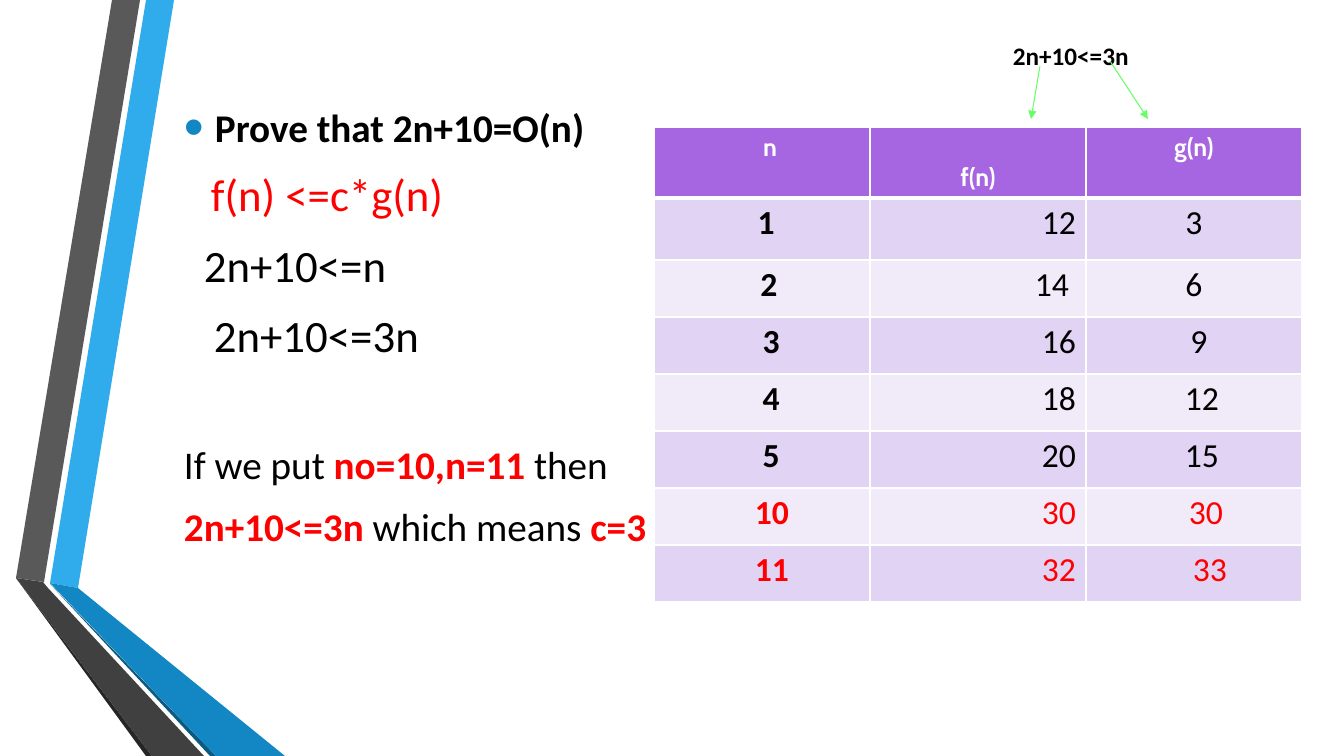
import pptx
import pptx.util
import pptx.dml.color
import pptx.enum.shapes
import pptx.enum.text
import pptx.oxml.ns
from lxml import etree

RGBColor = pptx.dml.color.RGBColor
ALIGN = pptx.enum.text.PP_ALIGN
ANCHOR = pptx.enum.text.MSO_ANCHOR
PX = 914400 / 100.8

BLACK = RGBColor(0x00, 0x00, 0x00)
WHITE = RGBColor(0xFF, 0xFF, 0xFF)
RED = RGBColor(0xFF, 0x00, 0x00)
GREEN = RGBColor(0x66, 0xFF, 0x66)
SKY = RGBColor(0x30, 0xAC, 0xEC)
BLUE = RGBColor(0x12, 0x87, 0xC3)
NAVY = RGBColor(0x0C, 0x5A, 0x82)
GREY = RGBColor(0x59, 0x59, 0x59)
CHARCOAL = RGBColor(0x40, 0x40, 0x40)
SOOT = RGBColor(0x26, 0x26, 0x26)
PURPLE = RGBColor(0xA6, 0x66, 0xE1)
LILAC = RGBColor(0xE1, 0xD3, 0xF4)
PALE = RGBColor(0xF1, 0xEA, 0xF9)

RIBBONS = [
    (SKY, [(34, 583), (62, 588), (158, 0), (130, 0)]),
    (GREY, [(124, 0), (96, 0), (0, 578), (28, 582)]),
    (SOOT, [(0, 578), (130, 756), (136, 756)]),
    (NAVY, [(34, 584), (194, 756), (200, 756)]),
    (BLUE, [(34, 583), (200, 756), (269, 756), (62, 588)]),
    (CHARCOAL, [(188, 756), (32, 588), (27, 582), (0, 578), (136, 756)]),
]

PROOF = [
    (28, 31, 0, [("Prove that 2n+10=O(n)", BLACK, True)]),
    (32, 27, 6, [("f(n) <=c*g(n)", RED, False)]),
    (32, 20, 6, [("2n+10<=n", BLACK, False)]),
    (32, 30, 6, [("2n+10<=3n", BLACK, False)]),
    (28, 0, 50, [("If we put ", BLACK, False), ("no=10,n=11 ", RED, True),
                 ("then", BLACK, False)]),
    (28, 0, 5, [("2n+10<=3n ", RED, True), ("which means ", BLACK, False),
                ("c=3", RED, True)]),
]

HEADER = ["n", "f(n)", "g(n)"]
N_VALUES = [1, 2, 3, 4, 5, 10, 11]
N_SHIFTS = [8, 4, 7, 9, 9, 9, 10, 10]
G_SHIFTS = [0, 0, 0, 5, 8, 8, 12, 16]
ROW_HEIGHTS = [71, 62] + [57] * 6


def px(n):
    """Turn pixels into EMU."""
    return pptx.util.Emu(round(n * PX))


def set_font(font, size, color, bold, name="Calibri"):
    """Set size, colour, weight and typeface."""
    font.size = pptx.util.Pt(size)
    font.color.rgb = color
    font.bold = bold
    font.name = name


def add_sub(parent, tag, **attrs):
    """Append a DrawingML element."""
    return etree.SubElement(parent, pptx.oxml.ns.qn("a:" + tag), attrs)


def add_ribbons(s, x, y):
    """Draw the folded bands on the left edge."""
    for color, points in RIBBONS:
        points = [(x + dx, y + dy) for dx, dy in points]
        builder = s.shapes.build_freeform(*points[0], scale=PX)
        builder.add_line_segments(points[1:], close=True)
        sp = builder.convert_to_shape()
        sp.fill.solid()
        sp.fill.fore_color.rgb = color
        sp.line.fill.background()
        sp.shadow.inherit = False


def add_bullet(p, hang):
    """Give a paragraph a blue dot with a hanging indent."""
    pPr = p._p.get_or_add_pPr()
    pPr.set("indent", str(-px(hang)))
    add_sub(add_sub(pPr, "buClr"), "srgbClr", val=str(BLUE))
    add_sub(pPr, "buSzPct", val="145000")
    add_sub(pPr, "buFont", typeface="Arial")
    add_sub(pPr, "buChar", char="•")


def add_proof(s, x, y, w, h):
    """Write the steps of the proof."""
    tf = s.shapes.add_textbox(px(x), px(y), px(w), px(h)).text_frame
    tf.word_wrap = True
    tf.margin_left = tf.margin_right = tf.margin_top = tf.margin_bottom = 0
    for i, (size, indent, before, runs) in enumerate(PROOF):
        p = tf.add_paragraph() if i else tf.paragraphs[0]
        p._p.get_or_add_pPr().set("marL", str(px(indent)))
        if i == 0:
            add_bullet(p, indent)
        p.space_before = pptx.util.Pt(before)
        p.space_after = pptx.util.Pt(6)
        if len(runs) == 1:
            set_font(p.font, size, *runs[0][1:])
        for text, color, bold in runs:
            r = p.add_run()
            r.text = text
            if len(runs) > 1:
                set_font(r.font, size, color, bold)


def set_borders(cell, row):
    """Draw white cell borders, thick under the header."""
    tcPr = cell._tc.get_or_add_tcPr()
    thick = {"lnB": 0, "lnT": 1}
    for side in ("lnL", "lnR", "lnT", "lnB"):
        width = 3 if thick.get(side) == row else 1
        ln = add_sub(tcPr, side, w=str(pptx.util.Pt(width)))
        add_sub(add_sub(ln, "solidFill"), "srgbClr", val=str(WHITE))


def add_values(s, x, y, w):
    """Build the table of n, f(n) and g(n)."""
    rows = [HEADER] + [[n, 2 * n + 10, 3 * n] for n in N_VALUES]
    table = s.shapes.add_table(len(rows), len(HEADER), px(x), px(y), px(w),
                               px(sum(ROW_HEIGHTS))).table
    for column in table.columns:
        column.width = px(w / len(HEADER))
    for i, values in enumerate(rows):
        table.rows[i].height = px(ROW_HEIGHTS[i])
        for j, value in enumerate(values):
            cell = table.cell(i, j)
            set_borders(cell, i)
            cell.fill.solid()
            cell.fill.fore_color.rgb = (LILAC if i % 2 else PALE) if i else PURPLE
            shift = (N_SHIFTS[i], 0, G_SHIFTS[i])[j]
            cell.margin_left = px(10 + 2 * shift)
            cell.margin_right = px(17 if value == 14 else 10)
            cell.margin_top = cell.margin_bottom = px(5)
            p = cell.text_frame.paragraphs[0]
            p.text = str(value)
            p.alignment = ALIGN.RIGHT if i and j == 1 else ALIGN.CENTER
            if i == 0:
                cell.vertical_anchor = ANCHOR.BOTTOM if j == 1 else ANCHOR.TOP
                set_font(p.font, 18, WHITE, True, "Cabin")
            else:
                set_font(p.font, 24, RED if values[0] >= 10 else BLACK, j == 0)


def add_inequality(s, x, y, w, h):
    """Label the two sides of the inequality with arrows to their columns."""
    tf = s.shapes.add_textbox(px(x), px(y), px(w), px(h)).text_frame
    tf.word_wrap = False
    p = tf.paragraphs[0]
    p.text = "2n+10<=3n"
    set_font(p.font, 18, BLACK, True)
    for x1, y1, x2, y2 in [(37, 31, 28, 84), (107, 26, 145, 84)]:
        arrow = s.shapes.add_connector(
            pptx.enum.shapes.MSO_CONNECTOR.STRAIGHT,
            px(x + x1), px(y + y1), px(x + x2), px(y + y2))
        arrow.line.color.rgb = GREEN
        arrow.line.width = pptx.util.Pt(0.75)
        add_sub(arrow.line._get_or_add_ln(), "tailEnd", type="triangle")
        add_sub(arrow._element.spPr, "effectLst")


def main():
    """Build and save the slide."""
    prs = pptx.Presentation()
    prs.slide_width, prs.slide_height = px(1344), px(756)
    s = prs.slides.add_slide(prs.slide_layouts[6])
    add_ribbons(s, 16, 0)
    add_proof(s, 184, 103, 469, 460)
    add_values(s, 654, 127, 648)
    add_inequality(s, 1003, 35, 137, 40)
    prs.save("out.pptx")


if __name__ == "__main__":
    main()
